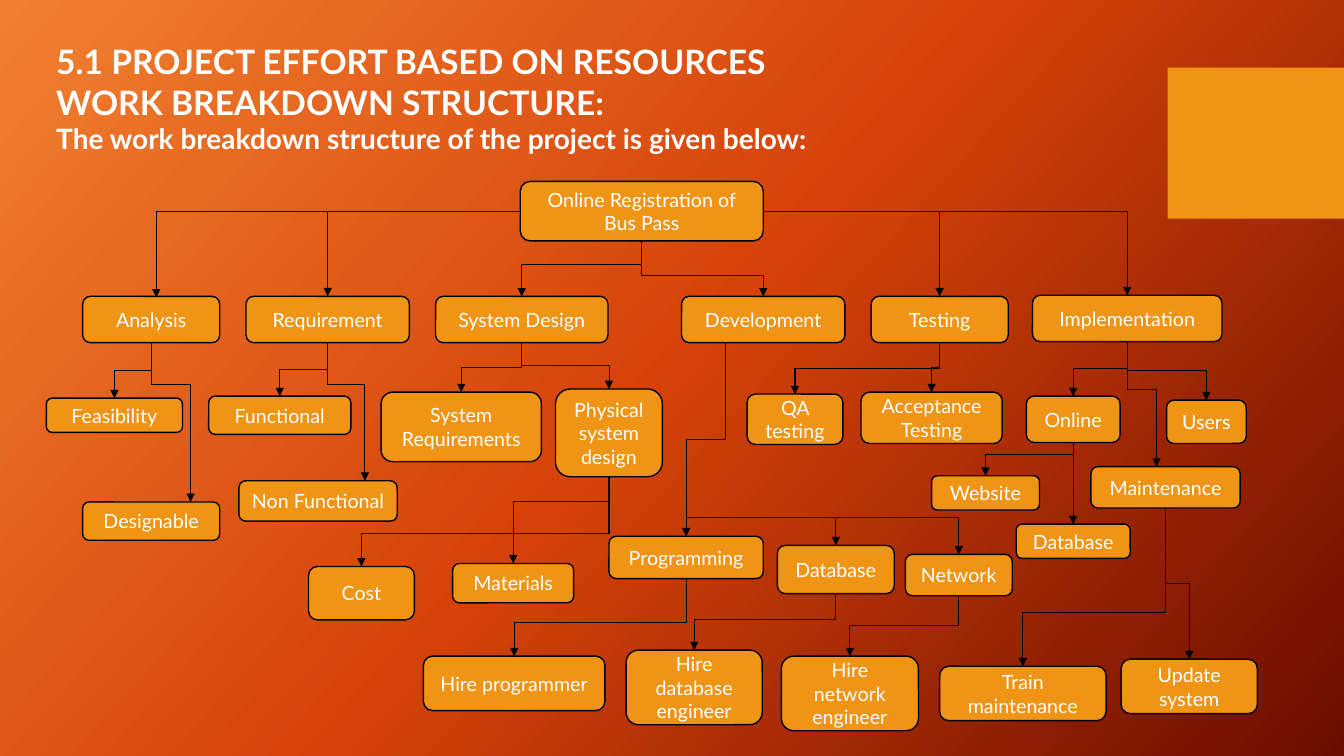
"""Build the work breakdown structure slide for the bus pass project."""
from copy import deepcopy
from lxml import etree
from pptx import Presentation
from pptx.dml.color import RGBColor
from pptx.enum.shapes import MSO_CONNECTOR as CONN, MSO_SHAPE as SHAPE
from pptx.enum.text import MSO_ANCHOR, MSO_AUTO_SIZE, PP_ALIGN
from pptx.oxml.ns import qn
from pptx.util import Inches, Pt

ORANGE, WHITE, BLACK = "F09415", "FFFFFF", "000000"


def color(fmt, value):
    fmt.rgb = RGBColor.from_string(value)


def link(x1, y1, x2, y2, bend=None):
    if bend is not None:
        w, h = y2 - y1, abs(x2 - x1)
        left, top = (x1 + x2 - w) / 2, (y1 + y2 - h) / 2
        c = s.shapes.add_connector(CONN.ELBOW, *map(Inches, (left, top, left + w, top + h)))
        xfrm = c._element.spPr.find(qn("a:xfrm"))
        xfrm.set("rot", str((270 if x2 > x1 else 90) * 60000))
        if x2 > x1:
            xfrm.set("flipH", "1")
        guides = c._element.spPr.find(qn("a:prstGeom")).get_or_add_avLst()
        etree.SubElement(guides, qn("a:gd"), name="adj1", fmla=f"val {round(bend * 100000)}")
    else:
        kind = CONN.STRAIGHT if x1 == x2 else CONN.ELBOW
        c = s.shapes.add_connector(kind, *map(Inches, (x1, y1, x2, y2)))
        if x1 != x2:
            c._element.spPr.find(qn("a:prstGeom")).set("prst", "bentConnector2")
    color(c.line.color, BLACK)
    c.line.width = Pt(0.75)
    etree.SubElement(c.line._get_or_add_ln(), qn("a:tailEnd"), type="triangle")
    etree.SubElement(c._element.spPr, qn("a:effectLst"))


prs = Presentation()
prs.slide_width, prs.slide_height = Inches(13.33), Inches(7.5)
s = prs.slides.add_slide(prs.slide_layouts[6])

fill = s.background.fill
fill.gradient()
fill.gradient_angle = 318
stop_list = next(s._element.iter(qn("a:gsLst")))
stop_list.insert(1, deepcopy(stop_list[0]))
for stop, (position, value) in zip(
        fill.gradient_stops, [(0, "F18031"), (0.5, "D54209"), (1, "6A0D00")]):
    stop.position = position
    color(stop.color, value)

accent = s.shapes.add_shape(SHAPE.RECTANGLE, *map(Inches, (11.58, 0.67, 1.75, 1.5)))
accent.shadow.inherit = False
accent.fill.solid()
color(accent.fill.fore_color, ORANGE)
accent.line.fill.background()

title = s.shapes.add_textbox(*map(Inches, (0.46, 0.36, 9.76, 1.25)))
tf = title.text_frame
tf.word_wrap = True
tf.auto_size = MSO_AUTO_SIZE.SHAPE_TO_FIT_TEXT
for i, (text, size) in enumerate([
        ("5.1 PROJECT EFFORT BASED ON RESOURCES", 24),
        ("WORK BREAKDOWN STRUCTURE:", 24),
        ("The work breakdown structure of the project is given below:", 20)]):
    p = tf.add_paragraph() if i else tf.paragraphs[0]
    r = p.add_run()
    r.text = text
    r.font.name, r.font.size, r.font.bold = "Lato", Pt(size), True
    color(r.font.color, WHITE)

tasks = {
    "0": ("Online Registration of Bus Pass", 5.16, 1.8, 2.41, 0.59),
    "1": ("Analysis", 0.82, 2.94, 1.36, 0.46),
    "1.1": ("Feasibility", 0.46, 3.95, 1.35, 0.34),
    "1.2": ("Designable", 0.82, 4.98, 1.36, 0.38),
    "2": ("Requirement", 2.44, 2.94, 1.62, 0.46),
    "2.1": ("Functional", 2.07, 3.93, 1.41, 0.38),
    "2.2": ("Non Functional", 2.37, 4.77, 1.57, 0.4),
    "3": ("System Design", 4.32, 2.94, 1.71, 0.46),
    "3.1": ("System Requirements", 3.78, 3.89, 1.59, 0.69),
    "3.2": ("Physical system design", 5.51, 3.86, 1.06, 0.87),
    "3.2.1": ("Cost", 3.06, 5.62, 1.05, 0.53),
    "3.2.2": ("Materials", 4.49, 5.59, 1.2, 0.39),
    "4": ("Development", 6.76, 2.94, 1.62, 0.46),
    "4.1": ("Programming", 6.04, 5.32, 1.53, 0.42),
    "4.1.1": ("Hire programmer", 4.2, 6.51, 1.8, 0.54),
    "4.2": ("Database", 7.71, 5.41, 1.16, 0.48),
    "4.2.1": ("Hire database engineer", 6.21, 6.45, 1.35, 0.74),
    "4.3": ("Network", 8.98, 5.5, 1.06, 0.41),
    "4.3.1": ("Hire network engineer", 7.75, 6.51, 1.36, 0.74),
    "5": ("Testing", 8.64, 2.94, 1.36, 0.46),
    "5.1": ("QA testing", 7.41, 3.91, 0.95, 0.5),
    "5.2": ("Acceptance Testing", 8.54, 3.89, 1.4, 0.51),
    "6": ("Implementation", 10.24, 2.93, 1.88, 0.46),
    "6.1": ("Online", 10.18, 3.93, 0.93, 0.46),
    "6.1.1": ("Website", 9.24, 4.72, 1.07, 0.34),
    "6.1.2": ("Database", 10.08, 5.2, 1.13, 0.34),
    "6.2": ("Maintenance", 10.82, 4.63, 1.48, 0.41),
    "6.2.1": ("Train maintenance", 9.32, 6.61, 1.65, 0.54),
    "6.2.2": ("Update system", 11.12, 6.54, 1.35, 0.54),
    "6.3": ("Users", 11.57, 3.97, 0.79, 0.43),
}
for text, *place in tasks.values():
    sp = s.shapes.add_shape(SHAPE.ROUNDED_RECTANGLE, *map(Inches, place))
    sp.shadow.inherit = False
    sp.fill.solid()
    color(sp.fill.fore_color, ORANGE)
    color(sp.line.color, BLACK)
    sp.line.width = Pt(1)
    tf = sp.text_frame
    tf.word_wrap = True
    tf.vertical_anchor = MSO_ANCHOR.MIDDLE
    p = tf.paragraphs[0]
    p.alignment = PP_ALIGN.CENTER
    r = p.add_run()
    r.text = text
    r.font.name, r.font.size = "Lato", Pt(14)
    color(r.font.color, WHITE)

bends = {
    "3": 0.42, "4": 0.63, "1.1": 0.5, "1.2": 0.26, "2.1": 0.5, "2.2": 0.3,
    "3.1": 0.5, "3.2": 0.5, "3.2.1": 0.63, "3.2.2": 0.29, "4.1": 0.5,
    "4.1.1": 0.56, "4.2.1": 0.45, "4.3.1": 0.5, "5.1": 0.5, "5.2": 0.5,
    "6.1": 0.5, "6.1.1": 0.36, "6.1.2": 0.5, "6.2": 0.38, "6.2.1": 0.66,
    "6.2.2": 0.5, "6.3": 0.5,
}
starts = {"4.1": 7.2}
ends = {"1.2": 1.89, "2.2": 3.62, "6.2": 11.47}
for code, bend in bends.items():
    parent = code.rpartition(".")[0] or "0"
    _, px, py, pw, ph = tasks[parent]
    _, x, y, w, _ = tasks[code]
    link(starts.get(code, px + pw / 2), py + ph, ends.get(code, x + w / 2), y, bend)

for trunk in [(5.16, 2.1, 1.55, 2.95), (3.25, 2.1, 3.25, 2.94),
              (7.58, 2.1, 11.18, 2.93), (9.32, 2.1, 9.32, 2.94),
              (6.8, 5.13, 8.29, 5.41), (8.29, 5.13, 9.51, 5.5)]:
    link(*trunk)

prs.save("out.pptx")
